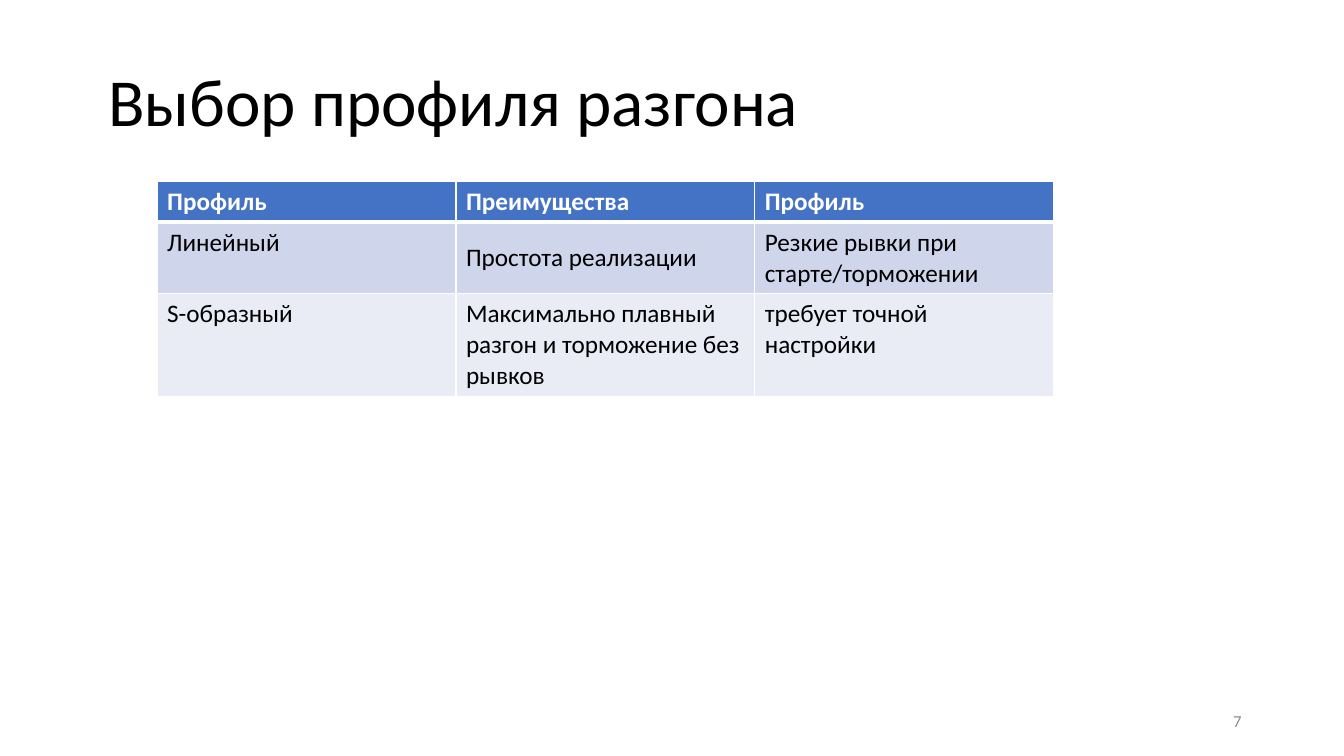
from lxml import etree
from pptx import Presentation
from pptx.dml.color import RGBColor
from pptx.enum.text import MSO_ANCHOR, MSO_AUTO_SIZE, PP_ALIGN
from pptx.oxml.ns import qn
from pptx.util import Cm, Pt

TOP, MIDDLE, BOTTOM = MSO_ANCHOR.TOP, MSO_ANCHOR.MIDDLE, MSO_ANCHOR.BOTTOM
CENTER, RIGHT = PP_ALIGN.CENTER, PP_ALIGN.RIGHT
NO_AUTOFIT = MSO_AUTO_SIZE.NONE

WHITE = RGBColor(0xFF, 0xFF, 0xFF)
BLACK = RGBColor(0, 0, 0)
GRAY = RGBColor(0x8C, 0x8C, 0x8C)
HEADER_BLUE = RGBColor(0x44, 0x72, 0xC4)
BAND_DARK = RGBColor(0xCF, 0xD5, 0xEA)
BAND_LIGHT = RGBColor(0xE9, 0xEB, 0xF5)

FONT = "Calibri"
TITLE_ONLY = 5

PROFILES = [
    ("Профиль", "Преимущества", "Профиль"),
    ("Линейный", "Простота реализации", "Резкие рывки при старте/торможении"),
    ("S-образный", "Максимально плавный разгон и торможение без рывков",
     "требует точной настройки"),
]
COLUMN_WIDTH = Cm(7.53)
ROW_HEIGHTS = [Cm(1.03), Cm(1.8), Cm(2.59)]
ROW_FILLS = [HEADER_BLUE, BAND_DARK, BAND_LIGHT]


def style_font(paragraph, size, color, bold=False):
    font = paragraph.font
    font.name = FONT
    font.size = Pt(size)
    font.bold = bold
    font.color.rgb = color


def set_borders(cell, **widths):
    """Draw white cell edges; widths maps L, R, T and B to points."""
    properties = cell._tc.get_or_add_tcPr()
    for side, width in widths.items():
        edge = etree.SubElement(properties, qn(f"a:ln{side}"), w=str(Pt(width)))
        fill = etree.SubElement(edge, qn("a:solidFill"))
        etree.SubElement(fill, qn("a:srgbClr"), val=str(WHITE))


def add_title(slide, text):
    title = slide.shapes.title
    title.left, title.top, title.width, title.height = Cm(0), Cm(0), Cm(22.86), Cm(3.68)
    frame = title.text_frame
    frame.text = text
    frame.auto_size = NO_AUTOFIT
    frame.vertical_anchor = BOTTOM
    heading = frame.paragraphs[0]
    heading.alignment = CENTER
    heading.line_spacing = 0.9
    style_font(heading, 48, BLACK)


def add_profile_table(slide):
    table = slide.shapes.add_table(
        len(PROFILES), len(PROFILES[0]), Cm(3.96), Cm(4.57),
        COLUMN_WIDTH * len(PROFILES[0]), sum(ROW_HEIGHTS)).table
    for column in table.columns:
        column.width = COLUMN_WIDTH
    for r, texts in enumerate(PROFILES):
        table.rows[r].height = ROW_HEIGHTS[r]
        is_header = r == 0
        for c, text in enumerate(texts):
            cell = table.cell(r, c)
            cell.text = text
            cell.vertical_anchor = TOP
            set_borders(cell, L=1, R=1, T=3 if r == 1 else 1, B=3 if is_header else 1)
            cell.fill.solid()
            cell.fill.fore_color.rgb = ROW_FILLS[r]
            style_font(cell.text_frame.paragraphs[0], 18,
                       WHITE if is_header else BLACK, is_header)
    table.cell(1, 1).vertical_anchor = MIDDLE


def add_page_number(slide, number):
    frame = slide.shapes.add_textbox(Cm(23.92), Cm(17.65), Cm(7.62), Cm(1.01)).text_frame
    frame.word_wrap = True
    frame.vertical_anchor = MIDDLE
    frame.text = number
    frame.paragraphs[0].alignment = RIGHT
    style_font(frame.paragraphs[0], 12, GRAY)


def main():
    presentation = Presentation()
    presentation.slide_width = Cm(33.87)
    presentation.slide_height = Cm(19.05)
    slide = presentation.slides.add_slide(presentation.slide_layouts[TITLE_ONLY])
    add_title(slide, "Выбор профиля разгона")
    add_profile_table(slide)
    add_page_number(slide, "7")
    presentation.save("out.pptx")


if __name__ == "__main__":
    main()
